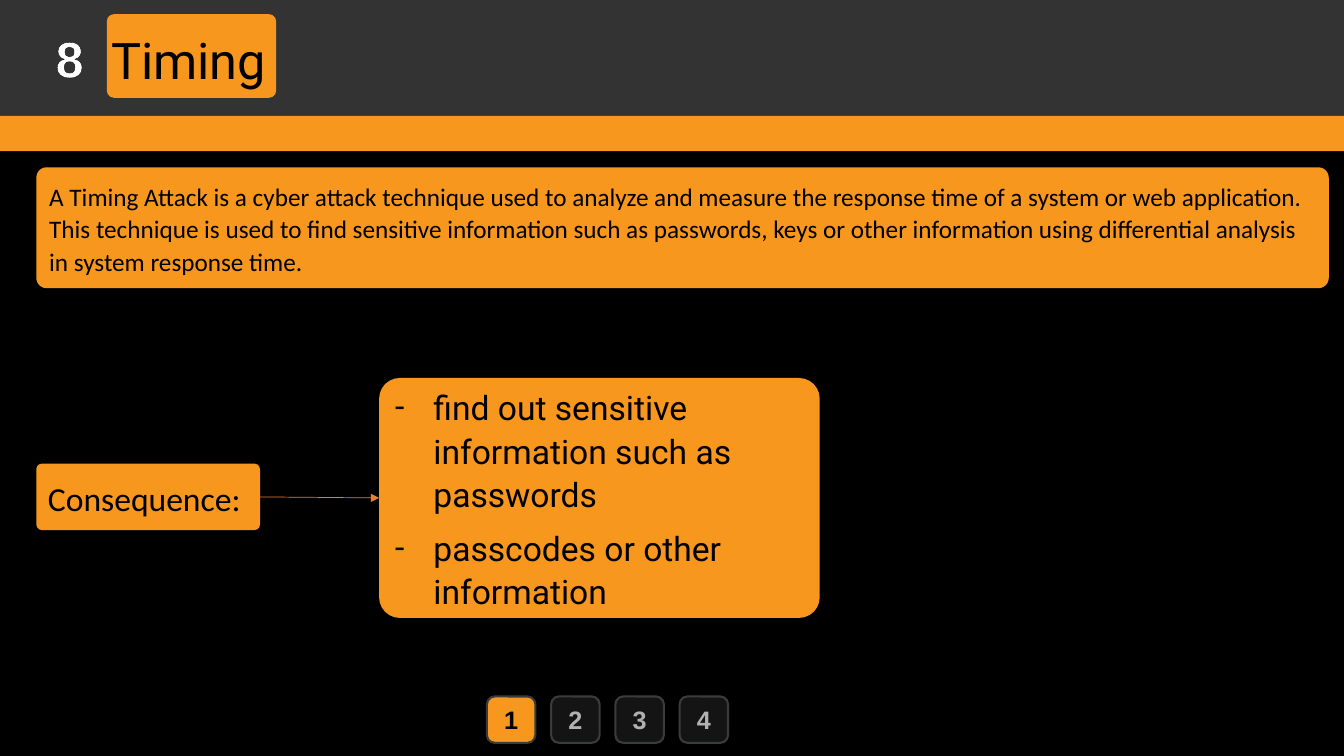
"""Builds the slide on timing attacks, placed in percent of the slide's width and height."""
import lxml.etree
import pptx
import pptx.dml.color
import pptx.enum.shapes
import pptx.enum.text
import pptx.oxml
import pptx.oxml.ns
import pptx.util

WIDTH, HEIGHT = pptx.util.Inches(13.33), pptx.util.Inches(7.5)
COLORS = {
    "black": "000000",
    "white": "FFFFFF",
    "header": "333333",
    "orange": "F7971D",
    "button": "141414",
    "button_edge": "3A3C3C",
    "button_text": "B1B1B1",
    "arrow": "ED7D31",
}
SHAPES = pptx.enum.shapes.MSO_SHAPE
ALIGN = pptx.enum.text.PP_ALIGN
ANCHOR = pptx.enum.text.MSO_ANCHOR
BODY = {"line_spacing": 1.07, "space_after": 8}
DESCRIPTION = (
    "A Timing Attack is a cyber attack technique used to analyze and measure the "
    "response time of a system or web application. This technique is used to find "
    "sensitive information such as passwords, keys or other information using "
    "differential analysis in system response time."
)
EFFECTS = [
    "find out sensitive information such as passwords",
    "passcodes or other information",
]


def rgb(name):
    """Return the named colour."""
    return pptx.dml.color.RGBColor.from_string(COLORS[name])


def place(left, top, width, height):
    """Turn percentages of the slide into a position and size."""
    return [int(share * full / 100) for share, full in
            zip((left, top, width, height), (WIDTH, HEIGHT, WIDTH, HEIGHT))]


def add_child(parent, tag, index=None, **attributes):
    """Add a DrawingML element to a parent and return it."""
    child = pptx.oxml.parse_xml(lxml.etree.tostring(
        lxml.etree.Element(pptx.oxml.ns.qn(tag), attributes)))
    parent.insert(len(parent) if index is None else index, child)
    return child


def write(holder, *paragraphs, size, font="Calibri", color="black", bold=False,
          align=ALIGN.LEFT, anchor=ANCHOR.MIDDLE, line_spacing=None,
          space_after=None, bullet=None, outline=None):
    """Write formatted paragraphs into a shape or text box."""
    frame = holder.text_frame
    frame.word_wrap = True
    frame.vertical_anchor = anchor
    frame.text = "\n".join(paragraphs)
    for paragraph in frame.paragraphs:
        paragraph.alignment = align
        if line_spacing:
            paragraph.line_spacing = line_spacing
            paragraph.space_after = pptx.util.Pt(space_after)
        if bullet:
            properties = paragraph._p.get_or_add_pPr()
            indent = pptx.util.Inches(0.38)
            properties.set("marL", str(indent))
            properties.set("indent", str(-indent))
            add_child(properties, "a:buFont", typeface=font)
            add_child(properties, "a:buChar", char=bullet)
        run = paragraph.runs[0]
        run.font.name = font
        run.font.size = pptx.util.Pt(size)
        run.font.bold = bold
        run.font.color.rgb = rgb(color)
        if outline:
            edge = add_child(run._r.get_or_add_rPr(), "a:ln", 0,
                             w=str(pptx.util.Pt(0.75)))
            add_child(add_child(edge, "a:solidFill"), "a:srgbClr", val=COLORS[outline])


def add_panel(slide, area, fill, kind=SHAPES.RECTANGLE, edge=None):
    """Add a filled shape, with an edge if a colour is given."""
    panel = slide.shapes.add_shape(kind, *place(*area))
    panel.shadow.inherit = False
    panel.fill.solid()
    panel.fill.fore_color.rgb = rgb(fill)
    if edge:
        panel.line.color.rgb = rgb(edge)
        panel.line.width = pptx.util.Pt(1.5)
    else:
        panel.line.fill.background()
    return panel


def add_card(slide, area):
    """Add an orange card with slightly rounded corners."""
    card = add_panel(slide, area, "orange", SHAPES.ROUNDED_RECTANGLE)
    card.adjustments[0] = 0.086
    return card


def add_heading(slide, area, text, **style):
    """Add a large centred heading."""
    heading = slide.shapes.add_textbox(*place(*area))
    write(heading, text, size=36, align=ALIGN.CENTER, anchor=ANCHOR.TOP, **style)


def add_page_button(slide, index, active):
    """Add one numbered button of the page row."""
    area = (36.23 + 4.78 * index, 92.13, 3.6, 6.13)
    button = add_panel(slide, area, "orange" if active else "button",
                       SHAPES.ROUNDED_RECTANGLE, edge="button_edge")
    write(button, str(index + 1), size=18, font="Arial", bold=True,
          color="black" if active else "button_text", align=ALIGN.CENTER)


def add_arrow(slide, source, target):
    """Join the right side of one card to the left side of another."""
    arrow = slide.shapes.add_connector(
        pptx.enum.shapes.MSO_CONNECTOR.STRAIGHT, 0, 0, 0, 0)
    arrow.begin_connect(source, 3)
    arrow.end_connect(target, 1)
    arrow.line.color.rgb = rgb("arrow")
    arrow.line.width = pptx.util.Pt(0.5)
    add_child(arrow.line._get_or_add_ln(), "a:tailEnd", type="triangle")
    add_child(arrow._element.spPr, "a:effectLst")


def main():
    """Build and save the slide."""
    deck = pptx.Presentation()
    deck.slide_width, deck.slide_height = WIDTH, HEIGHT
    slide = deck.slides.add_slide(deck.slide_layouts[6])

    add_panel(slide, (0, 0, 100, 100), "black")
    add_panel(slide, (0, 0, 100, 15.73), "header")
    add_heading(slide, (-1.2, 2.93, 12.75, 9.47), "8", font="Arial",
                color="white", bold=True, outline="black")
    add_card(slide, (7.95, 1.87, 12.6, 11.07))
    add_heading(slide, (5.18, 3.2, 17.7, 9.47), "Timing", font="Roboto")
    add_panel(slide, (0, 15.33, 100, 4.67), "orange")

    for index in range(4):
        add_page_button(slide, index, active=index == 0)

    effects = add_card(slide, (28.21, 50, 32.78, 31.73))
    write(effects, *EFFECTS, size=24, font="Roboto", bullet="-", **BODY)
    description = add_card(slide, (2.7, 22.13, 96.17, 16))
    write(description, DESCRIPTION, size=18, **BODY)
    consequence = add_card(slide, (2.7, 61.33, 16.65, 8.8))
    write(consequence, "Consequence:", size=24, **BODY)
    add_arrow(slide, consequence, effects)

    deck.save("out.pptx")


if __name__ == "__main__":
    main()
